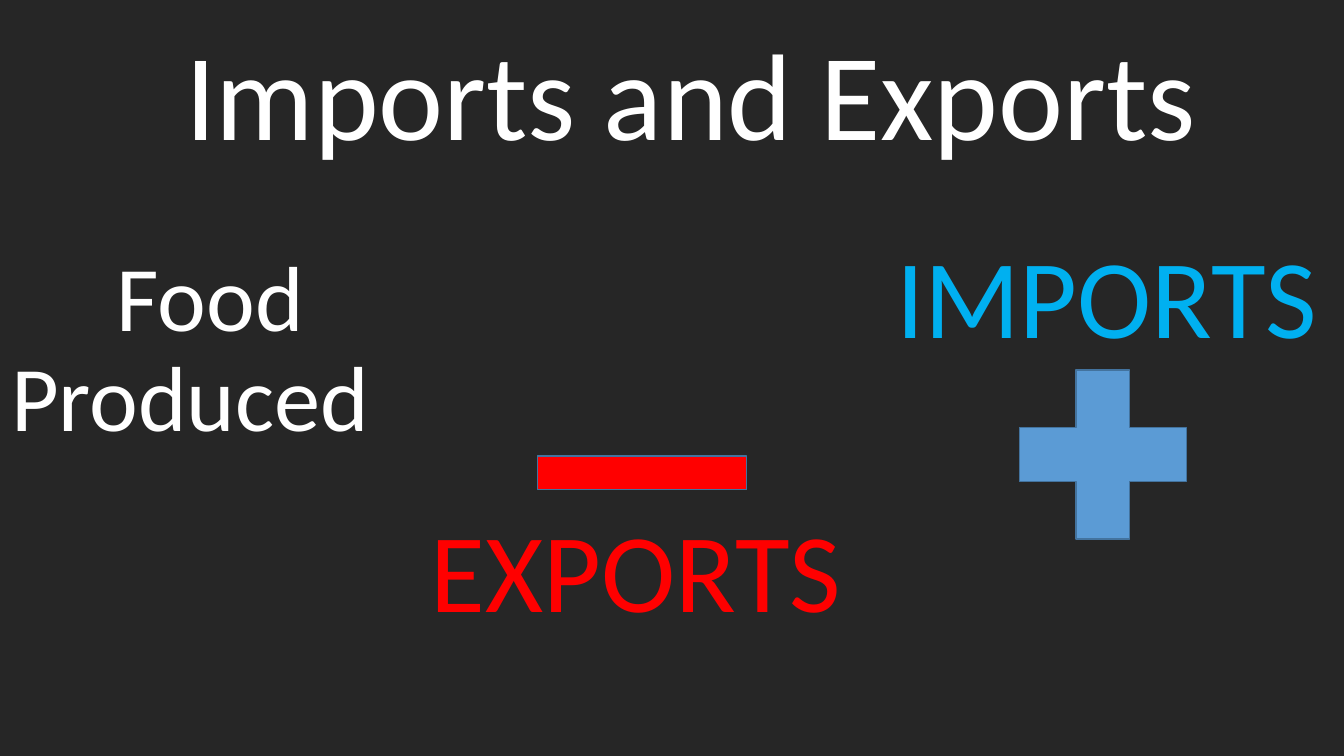
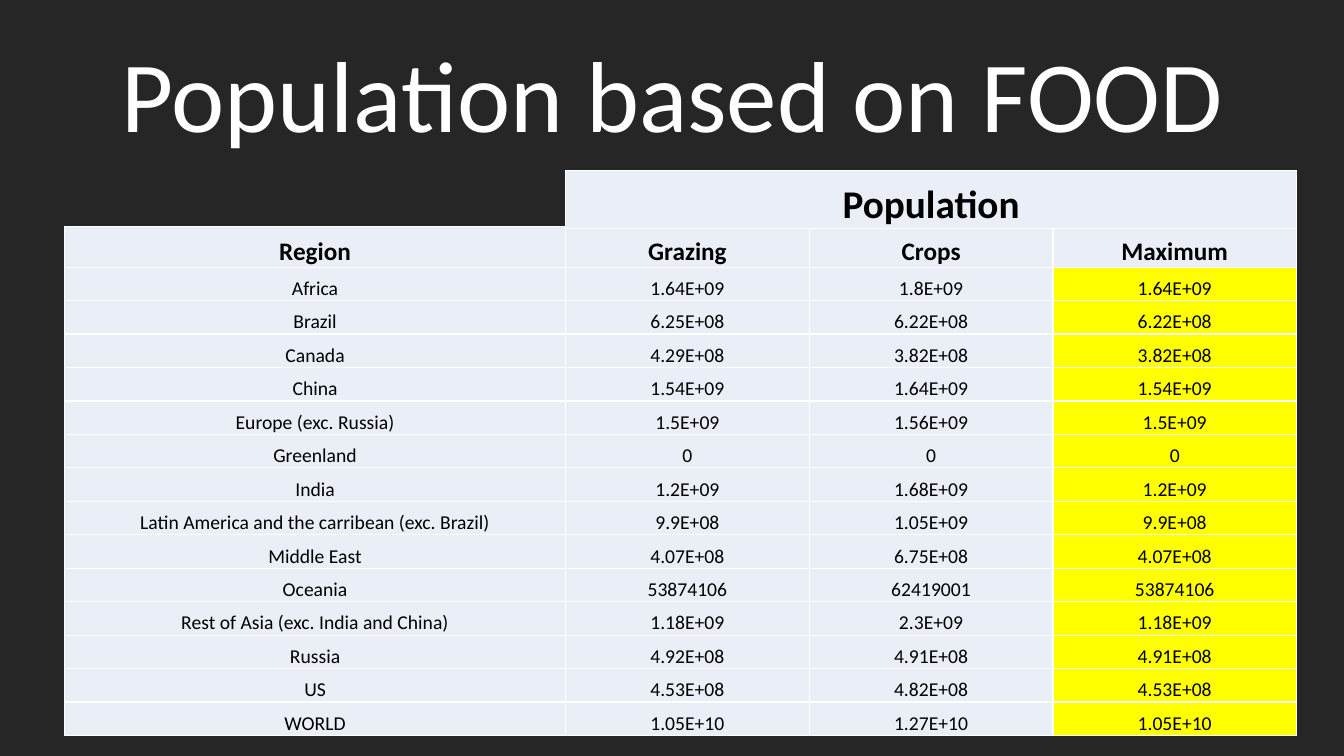
import pptx
import pptx.util
import pptx.dml.color
import pptx.enum.shapes
import pptx.enum.text
import pptx.oxml
import pptx.oxml.ns
from dataclasses import dataclass
from lxml import etree

Inches, Pt = pptx.util.Inches, pptx.util.Pt
SHAPE = pptx.enum.shapes.MSO_SHAPE
ALIGN = pptx.enum.text.PP_ALIGN
ANCHOR = pptx.enum.text.MSO_ANCHOR

# Content
FLOW_TITLE = "Imports and Exports"
PRODUCED, EXPORTS, IMPORTS = "Food Produced", "EXPORTS", "IMPORTS"

TABLE_TITLE = "Population based on FOOD"
REGION_HEAD = "Region"
GROUP_HEAD = "Population"
VALUE_HEADS = ("Grazing", "Crops", "Maximum")
POPULATION = [
    ("Africa", "1.64E+09", "1.8E+09", "1.64E+09"),
    ("Brazil", "6.25E+08", "6.22E+08", "6.22E+08"),
    ("Canada", "4.29E+08", "3.82E+08", "3.82E+08"),
    ("China", "1.54E+09", "1.64E+09", "1.54E+09"),
    ("Europe (exc. Russia)", "1.5E+09", "1.56E+09", "1.5E+09"),
    ("Greenland", "0", "0", "0"),
    ("India", "1.2E+09", "1.68E+09", "1.2E+09"),
    ("Latin America and the carribean (exc. Brazil)", "9.9E+08", "1.05E+09", "9.9E+08"),
    ("Middle East", "4.07E+08", "6.75E+08", "4.07E+08"),
    ("Oceania", "53874106", "62419001", "53874106"),
    ("Rest of Asia (exc. India and China)", "1.18E+09", "2.3E+09", "1.18E+09"),
    ("Russia", "4.92E+08", "4.91E+08", "4.91E+08"),
    ("US", "4.53E+08", "4.82E+08", "4.53E+08"),
    ("WORLD", "1.05E+10", "1.27E+10", "1.05E+10"),
]


@dataclass(frozen=True)
class Theme:
    font: str = "Calibri"
    background: str = "262626"
    white: str = "FFFFFF"
    black: str = "000000"
    red: str = "FF0000"
    sky: str = "00B0F0"
    blue: str = "5B9BD5"
    outline: str = "43739E"
    cell: str = "EAEFF7"
    highlight: str = "FFFF00"
    big_title: int = 88
    title: int = 72
    label: int = 80
    produced: int = 66
    group: int = 28
    head: int = 18
    body: int = 14


T = Theme()


def rgb(value):
    return pptx.dml.color.RGBColor.from_string(value)


def write(tf, text, size, color=T.white, bold=False, align=ALIGN.LEFT,
          anchor=ANCHOR.TOP, spacing=0.9, indent=0):
    """Put one formatted paragraph, without a bullet, into a text frame."""
    tf.word_wrap = True
    tf.vertical_anchor = anchor
    p = tf.paragraphs[0]
    pPr = p._p.get_or_add_pPr()
    pPr.set("marL", "0")
    pPr.set("indent", str(Inches(indent)))
    etree.SubElement(pPr, pptx.oxml.ns.qn("a:buNone"))
    p.alignment, p.line_spacing, p.space_before = align, spacing, Pt(0)
    r = p.add_run()
    r.text = text
    r.font.name, r.font.size, r.font.bold = T.font, Pt(size), bold
    r.font.color.rgb = rgb(color)


def place(sp, left, top, width, height):
    sp.left, sp.top = Inches(left), Inches(top)
    sp.width, sp.height = Inches(width), Inches(height)


def add_slide(prs, layout, title, size, left):
    s = prs.slides.add_slide(prs.slide_layouts[layout])
    place(s.shapes.title, left, 0.27, 11.5, 1.45)
    write(s.shapes.title.text_frame, title, size,
          align=ALIGN.CENTER, anchor=ANCHOR.MIDDLE)
    return s


def add_label(s, box, text, size, **fmt):
    sp = s.shapes.add_textbox(*map(Inches, box))
    write(sp.text_frame, text, size, **fmt)
    return sp


def add_sign(s, kind, box, fill):
    sp = s.shapes.add_shape(kind, *map(Inches, box))
    sp.shadow.inherit = False
    sp.fill.solid()
    sp.fill.fore_color.rgb = rgb(fill)
    sp.line.color.rgb = rgb(T.outline)
    sp.line.width = Pt(1)


def fill_cell(cell, text, size, fill=T.cell, bold=False):
    cell.margin_left = cell.margin_right = cell.margin_top = Inches(0.01)
    cell.margin_bottom = 0
    write(cell.text_frame, text, size, T.black, bold, ALIGN.CENTER, spacing=1)
    cell.vertical_anchor = ANCHOR.BOTTOM
    cell.fill.solid()
    cell.fill.fore_color.rgb = rgb(fill)
    for i, side in enumerate(("lnL", "lnR", "lnT", "lnB")):
        cell._tc.get_or_add_tcPr().insert(i, pptx.oxml.parse_xml(
            f'<a:{side} {pptx.oxml.ns.nsdecls("a")} w="{Pt(1)}"><a:solidFill>'
            f'<a:srgbClr val="{T.white}"/></a:solidFill></a:{side}>'))


def add_grid(s, box, head_heights, columns):
    """Add a plain table: given head heights, then equal body rows."""
    rows = len(head_heights) + len(POPULATION)
    table = s.shapes.add_table(rows, columns, *map(Inches, box)).table
    table.first_row = table.horz_banding = False
    body_height = (box[3] - sum(head_heights)) / len(POPULATION)
    for i, row in enumerate(table.rows):
        row.height = Inches(head_heights[i] if i < len(head_heights) else body_height)
    return table


def build_flow(prs):
    s = add_slide(prs, 1, FLOW_TITLE, T.big_title, 1.1)
    body = s.placeholders[1]
    place(body, 4.17, 5.07, 4.4, 0.96)
    write(body.text_frame, EXPORTS, T.label, color=T.red)
    body.text_frame.auto_size = pptx.enum.text.MSO_AUTO_SIZE.NONE

    # The first line is indented, so "Food" sits right of the centre
    sp = add_label(s, (0, 2.45, 3.77, 0.96), PRODUCED, T.produced,
                   align=ALIGN.CENTER, indent=0.4)
    sp.text_frame.margin_left = sp.text_frame.margin_right = 0
    add_label(s, (8.79, 2.35, 4.54, 0.72), IMPORTS, T.label, color=T.sky)

    add_sign(s, SHAPE.MATH_MINUS, (4.96, 3.98, 2.82, 1.42), T.red)
    add_sign(s, SHAPE.MATH_PLUS, (9.81, 3.37, 2.26, 2.28), T.blue)


def build_population(prs):
    s = add_slide(prs, 5, TABLE_TITLE, T.title, 0.92)

    # Values, with the last column highlighted
    values = add_grid(s, (5.61, 1.69, 7.25, 5.61), (0.58, 0.38), len(VALUE_HEADS))
    values.cell(0, 0).merge(values.cell(0, len(VALUE_HEADS) - 1))
    fill_cell(values.cell(0, 0), GROUP_HEAD, T.group, bold=True)
    for j, head in enumerate(VALUE_HEADS):
        fill_cell(values.cell(1, j), head, T.head, bold=True)
        fill = T.highlight if head == VALUE_HEADS[-1] else T.cell
        for i, row in enumerate(POPULATION, 2):
            fill_cell(values.cell(i, j), row[j + 1], T.body, fill)

    # Region names
    regions = add_grid(s, (0.64, 2.25, 4.97, 5.05), (0.4,), 1)
    fill_cell(regions.cell(0, 0), REGION_HEAD, T.head, bold=True)
    for i, row in enumerate(POPULATION, 1):
        fill_cell(regions.cell(i, 0), row[0], T.body)


def main():
    prs = pptx.Presentation()
    prs.slide_width, prs.slide_height = Inches(13.33), Inches(7.5)
    background = prs.slide_master.background.fill
    background.solid()
    background.fore_color.rgb = rgb(T.background)
    build_flow(prs)
    build_population(prs)
    prs.save("out.pptx")


if __name__ == "__main__":
    main()
